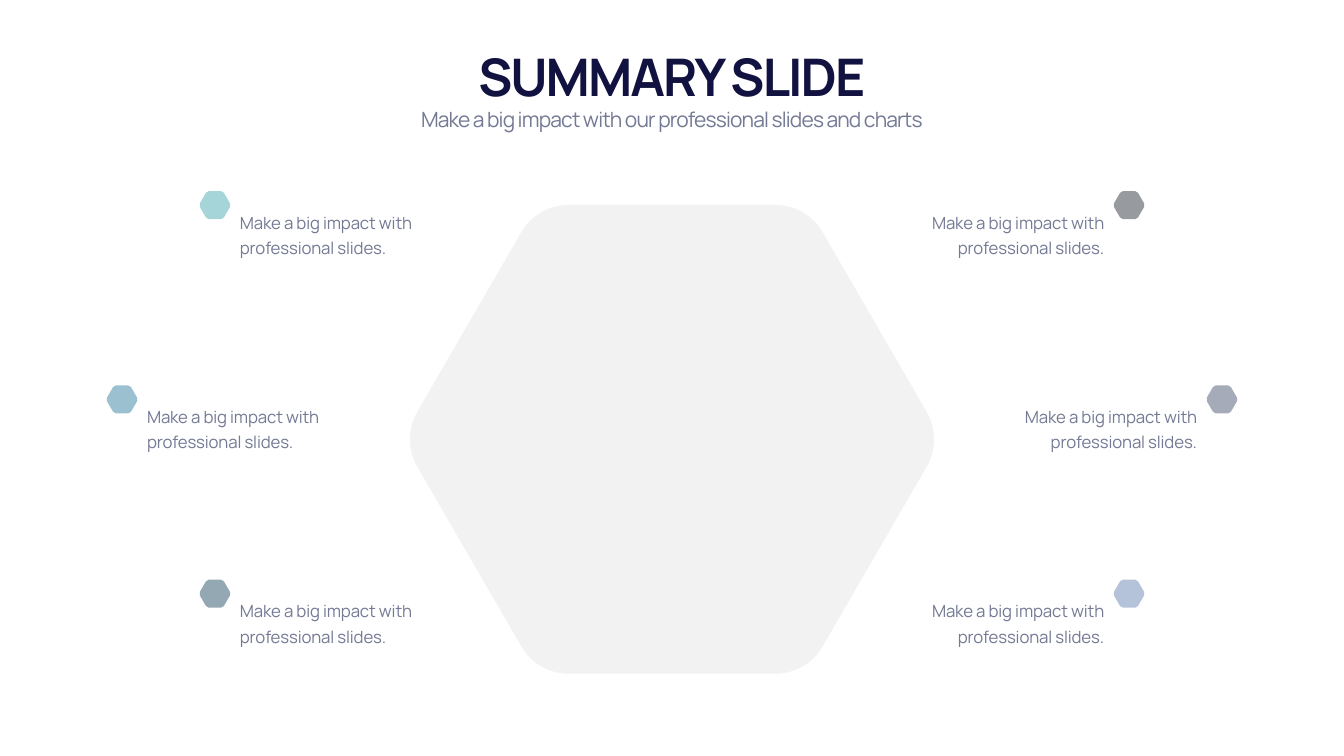
"""Build a summary slide with a central hexagon and six captioned markers."""
from dataclasses import dataclass

from lxml import etree
from pptx import Presentation
from pptx import util as u
from pptx.dml import color
from pptx.enum import text
from pptx.oxml import ns

Point = tuple[float, float]


@dataclass(frozen=True)
class Theme:
    font: str = "Manrope"
    title: str = "111240"
    body: str = "747994"
    panel: str = "F2F2F2"
    title_size: int = 74
    subtitle_size: int = 30
    caption_size: int = 24
    marker_opacity: int = 50


@dataclass(frozen=True)
class Item:
    row: int
    right: bool
    color: str


@dataclass(frozen=True)
class Box:
    left: float
    top: float
    width: float
    height: float


THEME = Theme()
WIDTH, HEIGHT = 67.72, 38.1
ROW_TOP, ROW_STEP = 10.34, 9.79
MARKER_X = (10.83, 6.15, 10.83)
MARKER_SIZE = (1.57, 1.41)
CAPTION_GAP, CAPTION_WIDTH, CAPTION_HEIGHT = 1.01, 10.85, 2.74
CAPTION = "Make a big impact with professional slides."
ITEMS = (
    Item(0, True, "303942"),
    Item(1, True, "4C5974"),
    Item(2, True, "6C88B7"),
    Item(0, False, "4DADB5"),
    Item(1, False, "3984A3"),
    Item(2, False, "2B526A"),
)


def hexagon_corners() -> list[list[Point]]:
    """Return six corner curves, in thousandths of the half size."""
    lower_right = [(577, 880), (540, 955), (470, 1000), (395, 1000)]
    lower_left = [(-x, y) for x, y in reversed(lower_right)]
    left_tip = [(-972, 118), (-1010, 46), (-1010, -46), (-972, -118)]
    half = [lower_right, lower_left, left_tip]
    return half + [[(-x, -y) for x, y in corner] for corner in half]


def add_command(path, tag: str, points: list[Point]) -> None:
    """Append one drawing command to a path."""
    command = etree.SubElement(path, ns.qn(tag))
    for x, y in points:
        etree.SubElement(command, ns.qn("a:pt"), x=str(1000 + x), y=str(1000 + y))


def add_hexagon(s, center: Point, size: Point, fill: str, opacity: int = 100) -> None:
    """Draw a rounded hexagon around a centre."""
    corners = hexagon_corners()
    fb = s.shapes.build_freeform(*corners[-1][-1])
    fb.add_line_segments([corner[0] for corner in corners])
    sp = fb.convert_to_shape()
    path = sp._element.spPr.find(".//" + ns.qn("a:path"))
    for command in list(path):
        path.remove(command)
    path.set("w", "2000")
    path.set("h", "2000")
    add_command(path, "a:moveTo", corners[-1][-1:])
    for corner in corners:
        add_command(path, "a:lnTo", corner[:1])
        add_command(path, "a:cubicBezTo", corner[1:])
    add_command(path, "a:close", [])
    frame = {"left": center[0] - size[0] / 2, "top": center[1] - size[1] / 2,
             "width": size[0], "height": size[1]}
    for name, value in frame.items():
        setattr(sp, name, u.Cm(value))
    sp.shadow.inherit = False
    sp.line.fill.background()
    sp.fill.solid()
    sp.fill.fore_color.rgb = color.RGBColor.from_string(fill)
    if opacity < 100:
        clr = sp._element.spPr.find(".//" + ns.qn("a:srgbClr"))
        etree.SubElement(clr, ns.qn("a:alpha"), val=str(opacity * 1000))


def add_text(s, box: Box, content: str, size: int, fill: str, tracking: int,
             para: dict, bold: bool = False, anchor=text.MSO_ANCHOR.TOP) -> None:
    """Add a wrapped one-paragraph text box."""
    sp = s.shapes.add_textbox(u.Cm(box.left), u.Cm(box.top), u.Cm(box.width), u.Cm(box.height))
    tf = sp.text_frame
    p = tf.paragraphs[0]
    r = p.add_run()
    r.text = content
    formats = (
        (tf, {"word_wrap": True, "vertical_anchor": anchor,
              "auto_size": text.MSO_AUTO_SIZE.SHAPE_TO_FIT_TEXT}),
        (p, para),
        (r.font, {"name": THEME.font, "size": u.Pt(size), "bold": bold}),
        (r.font.color, {"rgb": color.RGBColor.from_string(fill)}),
    )
    for target, values in formats:
        for name, value in values.items():
            setattr(target, name, value)
    r.font._element.set("spc", str(tracking))


def add_marker(s, item: Item) -> None:
    """Draw the marker of an item, mirrored on the right."""
    x, y = MARKER_X[item.row], ROW_TOP + item.row * ROW_STEP
    add_hexagon(s, (WIDTH - x if item.right else x, y), MARKER_SIZE,
                item.color, THEME.marker_opacity)


def add_caption(s, item: Item) -> None:
    """Write the caption of an item, mirrored on the right."""
    left, align = MARKER_X[item.row] + CAPTION_GAP, text.PP_ALIGN.LEFT
    if item.right:
        left, align = WIDTH - left - CAPTION_WIDTH, text.PP_ALIGN.RIGHT
    box = Box(left, ROW_TOP + item.row * ROW_STEP, CAPTION_WIDTH, CAPTION_HEIGHT)
    add_text(s, box, CAPTION, THEME.caption_size, THEME.body, -20,
             {"alignment": align, "line_spacing": u.Pt(36)})


def main() -> None:
    """Build and save the slide."""
    prs = Presentation()
    prs.slide_width, prs.slide_height = u.Cm(WIDTH), u.Cm(HEIGHT)
    s = prs.slides.add_slide(prs.slide_layouts[6])
    for item in ITEMS:
        add_marker(s, item)
    add_hexagon(s, (WIDTH / 2, 22.14), (26.39, 23.62), THEME.panel)
    centered = {"alignment": text.PP_ALIGN.CENTER}
    add_text(s, Box(4.22, 2.08, 59.26, 3.43), "SUMMARY SLIDE", THEME.title_size,
             THEME.title, -290, centered, True, text.MSO_ANCHOR.BOTTOM)
    add_text(s, Box(4.22, 5.26, 59.26, 1.55),
             "Make a big impact with our professional slides and charts",
             THEME.subtitle_size, THEME.body, -120, centered)
    for item in ITEMS:
        add_caption(s, item)
    prs.save("out.pptx")


main()
